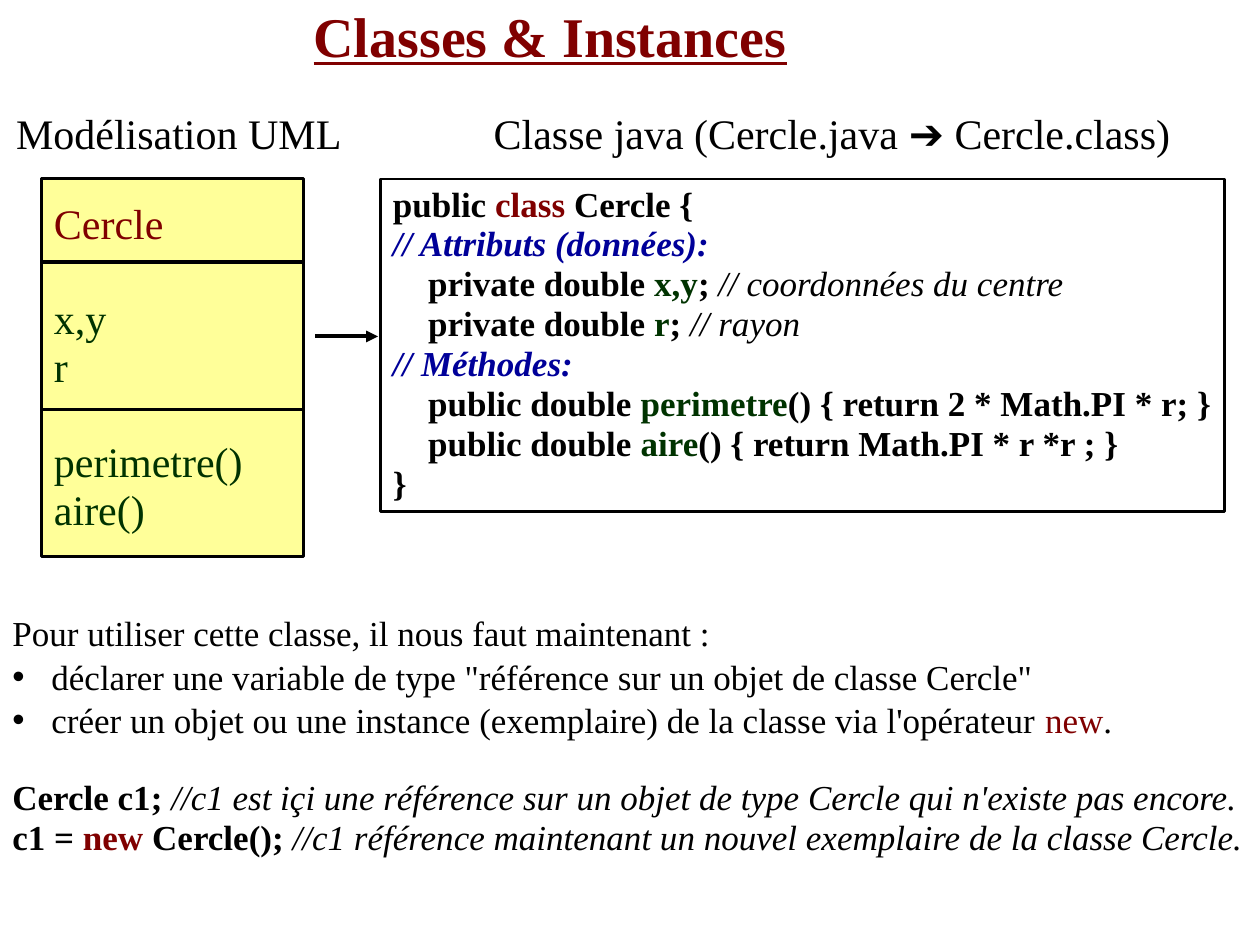
from pptx import Presentation
from pptx.dml.color import RGBColor
from pptx.enum.shapes import MSO_CONNECTOR, MSO_SHAPE
from pptx.enum.text import MSO_ANCHOR, PP_ALIGN
from pptx.oxml.ns import qn
from pptx.util import Pt
from lxml import etree

STRAIGHT, RECTANGLE = MSO_CONNECTOR.STRAIGHT, MSO_SHAPE.RECTANGLE
TOP, MIDDLE, LEFT = MSO_ANCHOR.TOP, MSO_ANCHOR.MIDDLE, PP_ALIGN.LEFT
PX = 9144
THEME = {
    "font": "Times New Roman", "symbol_font": "Arial",
    "title": 32, "heading": 24, "body": 20,
    "black": RGBColor.from_string("000000"),
    "red": RGBColor.from_string("800000"),
    "green": RGBColor.from_string("003300"),
    "blue": RGBColor.from_string("000099"),
    "yellow": RGBColor.from_string("FFFF99"),
}


def write_text(shape, lines, size, anchor=TOP):
    frame = shape.text_frame
    frame.word_wrap = True
    frame.margin_right = 0
    frame.vertical_anchor = anchor
    for index, (runs, layout) in enumerate(lines):
        paragraph = frame.paragraphs[0] if index == 0 else frame.add_paragraph()
        paragraph.alignment = LEFT
        paragraph.line_spacing = layout.get("spacing", 0.95)
        paragraph.space_before = Pt(layout.get("before", 0))
        paragraph.font.size = Pt(THEME[size])
        paragraph.font.name = THEME["font"]
        properties = paragraph._p.get_or_add_pPr()
        if "indent" in layout:
            properties.set("marL", str(layout["indent"] * PX))
        if layout.get("bullet"):
            properties.set("indent", str(-layout["indent"] * PX))
            bullet_font = etree.Element(qn("a:buFont"), typeface=THEME["symbol_font"])
            bullet = etree.Element(qn("a:buChar"), char="•")
            properties.find(qn("a:defRPr")).addprevious(bullet_font)
            bullet_font.addnext(bullet)
        for text, color, *styles in runs:
            run = paragraph.add_run()
            run.text = text
            run.font.color.rgb = THEME[color]
            if "bold" in styles:
                run.font.bold = True
            if "italic" in styles:
                run.font.italic = True
            if "underline" in styles:
                run.font.underline = True
            if "symbol" in styles:
                run.font.name = THEME["symbol_font"]


presentation = Presentation()
presentation.slide_width, presentation.slide_height = 1000 * PX, 750 * PX
slide = presentation.slides.add_slide(presentation.slide_layouts[6])
shapes = slide.shapes

CODE_LINE = {"indent": 28}
code_lines = [
    ([("public ", "black", "bold"), ("class", "red", "bold"),
      (" Cercle {", "black", "bold")], {}),
    ([("// Attributs (données):", "blue", "bold", "italic")], {}),
    ([("private double ", "black", "bold"), ("x,y", "green", "bold"),
      ("; ", "black", "bold"), ("// coordonnées du centre", "black", "italic")], CODE_LINE),
    ([("private double ", "black", "bold"), ("r", "green", "bold"),
      ("; ", "black", "bold"), ("// rayon", "black", "italic")], CODE_LINE),
    ([("// Méthodes:", "blue", "bold", "italic")], {}),
    ([("public double ", "black", "bold"), ("perimetre", "green", "bold"),
      ("() { return 2 * Math.PI * r; }", "black", "bold")], CODE_LINE),
    ([("public double ", "black", "bold"), ("aire", "green", "bold"),
      ("() { return Math.PI * r *r ; }", "black", "bold")], CODE_LINE),
    ([("}", "black", "bold")], {}),
]
class_lines = [
    ([("Cercle", "red")], {}),
    ([("x,y", "green")], {"before": 27}),
    ([("r", "green")], {}),
    ([("perimetre()", "green")], {"before": 27}),
    ([("aire()", "green")], {}),
]
boxes = [
    ((302, 142, 670, 264), None, 1.5, code_lines, "body", TOP),
    ((33, 142, 208, 300), "yellow", 1.75, class_lines, "heading", MIDDLE),
]
for (left, top, width, height), fill, line_width, lines, size, anchor in boxes:
    box = shapes.add_shape(RECTANGLE, left * PX, top * PX, width * PX, height * PX)
    box.shadow.inherit = False
    if fill:
        box.fill.solid()
        box.fill.fore_color.rgb = THEME[fill]
    else:
        box.fill.background()
    box.line.color.rgb = THEME["black"]
    box.line.width = Pt(line_width)
    write_text(box, lines, size, anchor)

for start, end, y, has_arrow in [(33, 242, 208, False), (33, 242, 325, False),
                                 (250, 300, 267, True)]:
    connector = shapes.add_connector(STRAIGHT, start * PX, y * PX, end * PX, y * PX)
    connector.line.color.rgb = THEME["black"]
    connector.line.width = Pt(2.25)
    if has_arrow:
        etree.SubElement(connector.line._get_or_add_ln(), qn("a:tailEnd"), type="triangle")
    etree.SubElement(connector._element.spPr, qn("a:effectLst"))

BULLET = {"spacing": 1.02, "indent": 31, "bullet": True}
usage_lines = [
    ([("Pour utiliser cette classe, il nous faut maintenant :", "black")], {}),
    ([('déclarer une variable de type "référence sur un objet de classe Cercle"',
       "black")], BULLET),
    ([("créer un objet ou une instance (exemplaire) de la classe via l'opérateur ", "black"),
      ("new", "red"), (".", "black")], BULLET),
    ([("Cercle c1; ", "black", "bold"),
      ("//c1 est içi une référence sur un objet de type Cercle qui n'existe pas encore.",
       "black", "italic")], {"before": 22}),
    ([("c1 = ", "black", "bold"), ("new", "red", "bold"), (" Cercle(); ", "black", "bold"),
      ("//c1 référence maintenant un nouvel exemplaire de la classe Cercle.",
       "black", "italic")], {}),
]
text_boxes = [
    ((0, 483, 997, 268), usage_lines, "body"),
    ((3, 83, 278, 48), [([("Modélisation UML", "black")], {})], "heading"),
    ((382, 83, 562, 48), [([("Classe java (Cercle.java ", "black"), ("➔", "black", "symbol"),
                            (" Cercle.class)", "black")], {})], "heading"),
    ((239, 0, 396, 61), [([("Classes & Instances", "red", "bold", "underline")], {})], "title"),
]
for (left, top, width, height), lines, size in text_boxes:
    text_box = shapes.add_textbox(left * PX, top * PX, width * PX, height * PX)
    write_text(text_box, lines, size)

presentation.save("out.pptx")
